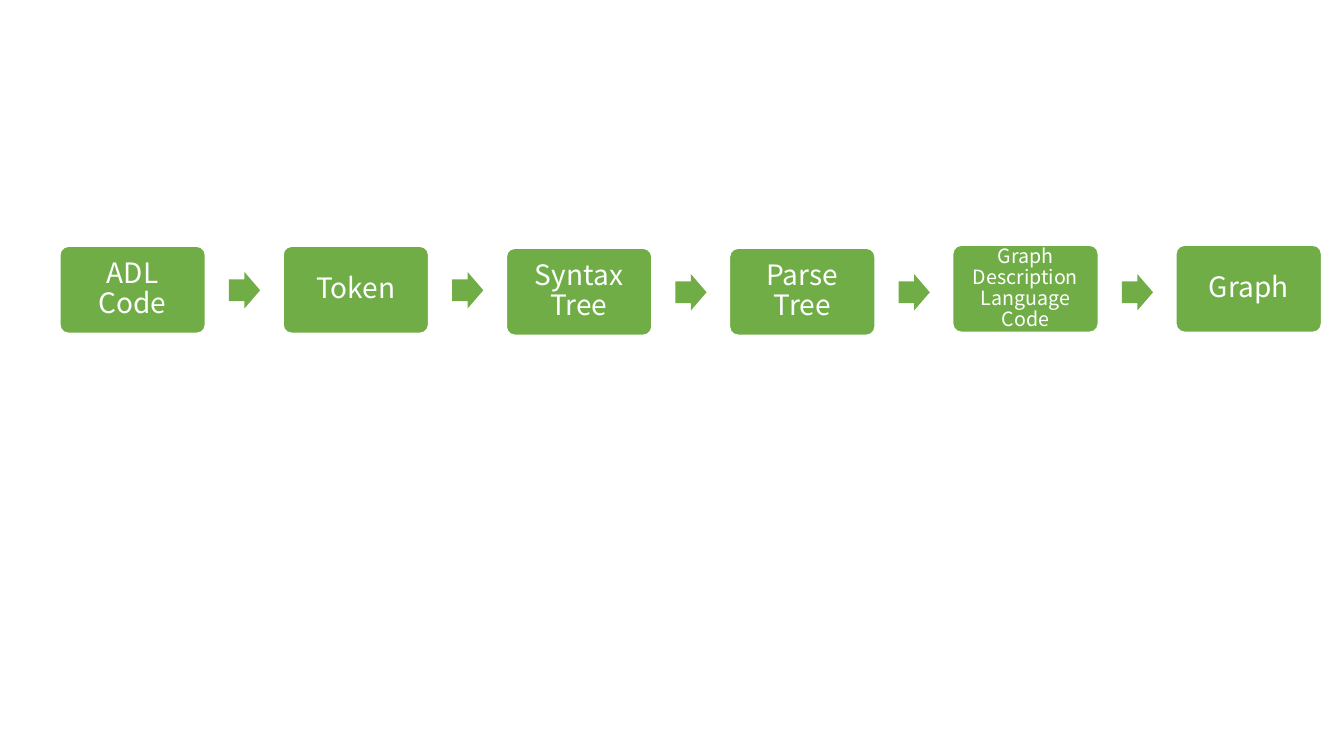
import pptx
import pptx.util
import pptx.dml.color
import pptx.enum.shapes
import pptx.enum.text

Inches, Pt = pptx.util.Inches, pptx.util.Pt
SHAPE = pptx.enum.shapes.MSO_SHAPE
GREEN = pptx.dml.color.RGBColor(0x70, 0xAD, 0x47)
WHITE = pptx.dml.color.RGBColor(0xFF, 0xFF, 0xFF)

LEFT, PITCH = 0.59, (11.66 - 0.59) / 5
BOX_W, BOX_H = 1.45, 0.87
ARROW_W, ARROW_H, ARROW_OFFSET = 0.31, 0.36, 1.68

# Stage name, box top, font size
STAGES = [
    ("ADL Code", 2.44, 20),
    ("Token", 2.44, 20),
    ("Syntax Tree", 2.46, 20),
    ("Parse Tree", 2.46, 20),
    ("Graph Description Language Code", 2.43, 14),
    ("Graph", 2.43, 20),
]
ARROW_TOPS = [2.7, 2.7, 2.72, 2.72, 2.72]
FRAME_FORMAT = {
    "word_wrap": True,
    "vertical_anchor": pptx.enum.text.MSO_ANCHOR.MIDDLE,
    "margin_left": Inches(0.12),
    "margin_right": Inches(0.12),
    "margin_top": Inches(0.12),
    "margin_bottom": Inches(0.12),
}


def add_green(slide, kind, box, adjustments):
    """Add a green preset shape at box (left, top, width, height in inches)."""
    sp = slide.shapes.add_shape(kind, *[Inches(v) for v in box])
    for i, value in enumerate(adjustments):
        sp.adjustments[i] = value
    sp.shadow.inherit = False
    sp.fill.solid()
    sp.fill.fore_color.rgb = GREEN
    sp.line.fill.background()
    return sp


prs = pptx.Presentation()
prs.slide_width, prs.slide_height = Inches(13.33), Inches(7.5)
slide = prs.slides.add_slide(prs.slide_layouts[6])

for i, (name, top, size) in enumerate(STAGES):
    left = LEFT + i * PITCH
    sp = add_green(slide, SHAPE.ROUNDED_RECTANGLE, (left, top, BOX_W, BOX_H), [0.1])
    sp.line.color.rgb = WHITE
    sp.line.width = Pt(1.5)

    tf = sp.text_frame
    for key, value in FRAME_FORMAT.items():
        setattr(tf, key, value)
    p = tf.paragraphs[0]
    p.alignment = pptx.enum.text.PP_ALIGN.CENTER
    p.line_spacing = 0.9
    r = p.add_run()
    r.text = name
    r.font.name = "Noto Sans CJK KR"
    r.font.size = Pt(size)
    r.font.color.rgb = WHITE

    if i < len(ARROW_TOPS):
        arrow = (left + ARROW_OFFSET, ARROW_TOPS[i], ARROW_W, ARROW_H)
        add_green(slide, SHAPE.RIGHT_ARROW, arrow, [0.6, 0.5])

prs.save("out.pptx")
